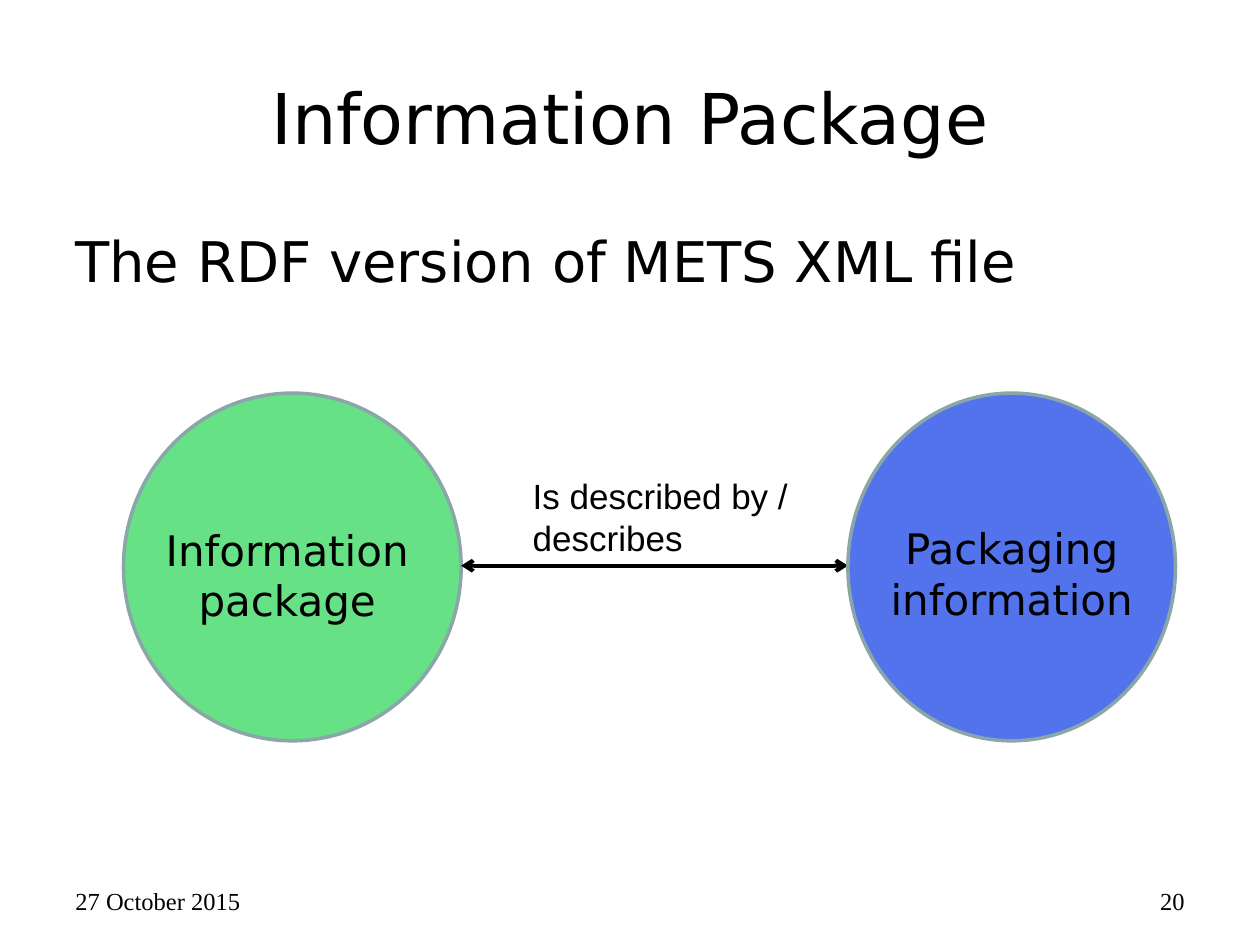
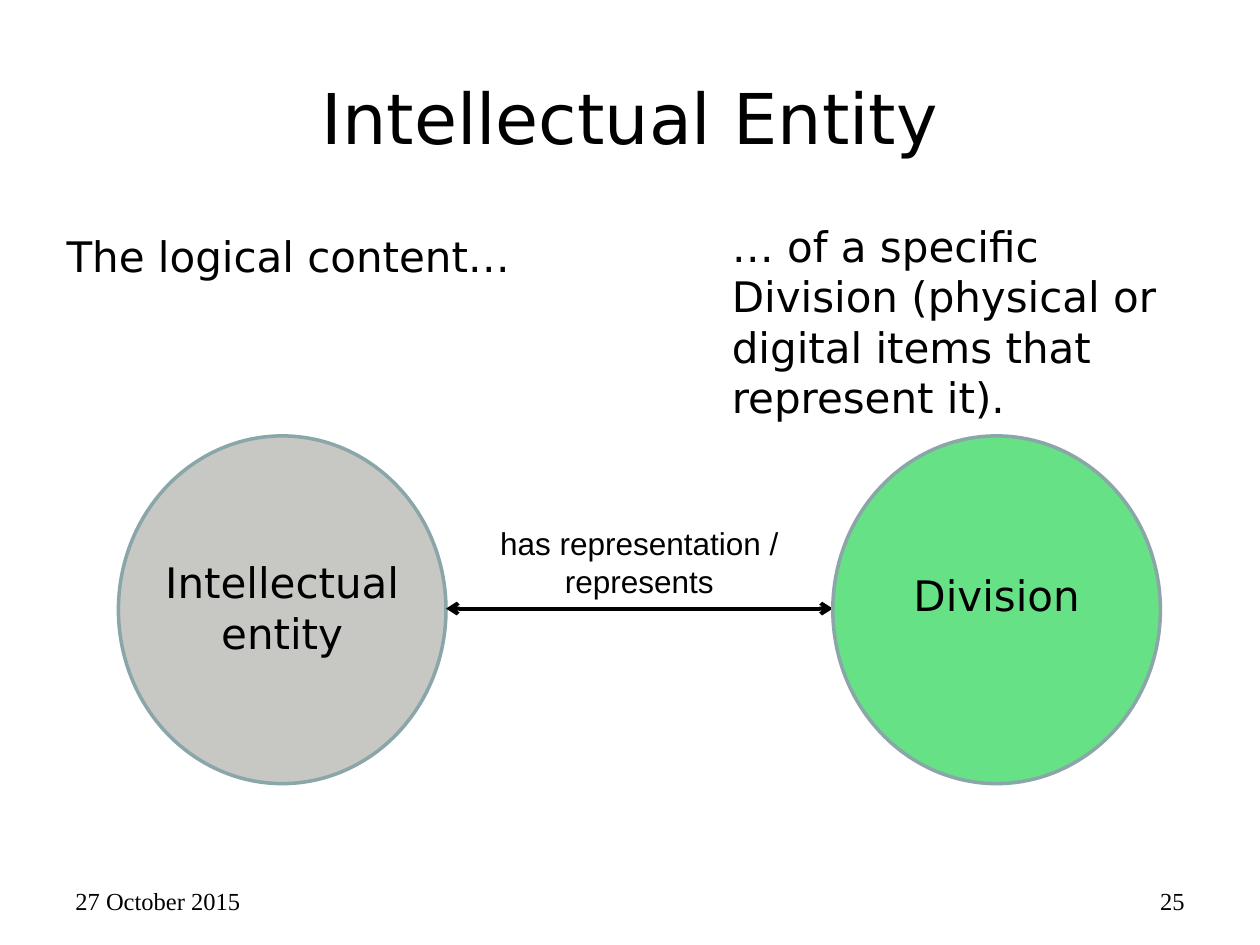
"""Build two slides that relate entities of a digital preservation model."""
from dataclasses import dataclass

from lxml.etree import SubElement
from pptx import Presentation
from pptx.dml.color import RGBColor
from pptx.enum.shapes import MSO_CONNECTOR, MSO_SHAPE
from pptx.enum.text import MSO_ANCHOR, PP_ALIGN
from pptx.oxml.ns import qn
from pptx.util import Inches, Pt


@dataclass(frozen=True)
class Theme:
    """Hold the colours, fonts and sizes that the slides share."""
    ink: str = "000000"
    paper: str = "FFFFFF"
    green: str = "66E186"
    blue: str = "5273EB"
    grey: str = "C7C7C4"
    outline: str = "8AA6A8"
    main_font: str = "DejaVu Sans"
    relation_font: str = "Arial"
    footer_font: str = "Times New Roman"
    title_size: int = 40
    lead_size: int = 32
    text_size: int = 24
    footer_size: int = 14
    outline_width: float = 2
    arrow_width: float = 2.25


THEME = Theme()
DATE = "27 October 2015"
CIRCLE_HEIGHT = 2.76
CIRCLE_WIDTH = 2.6
ARROW_DROP = 1.37
LABEL_INSET = 0.08
LABEL_WIDTH = 2.44


def add_text(slide, text, left, top, width, height, *, size=THEME.text_size,
             font=THEME.main_font, align=PP_ALIGN.LEFT, anchor=MSO_ANCHOR.TOP):
    """Add a wrapped text box in one format."""
    box = slide.shapes.add_textbox(Inches(left), Inches(top), Inches(width), Inches(height))
    frame = box.text_frame
    frame.word_wrap = True
    frame.vertical_anchor = anchor
    paragraph = frame.paragraphs[0]
    paragraph.text = text
    paragraph.alignment = align
    paragraph.font.size = Pt(size)
    paragraph.font.name = font
    paragraph.font.color.rgb = RGBColor.from_string(THEME.ink)


def add_entity_circle(slide, left, top, width, colour):
    """Add the circle that stands for an entity."""
    circle = slide.shapes.add_shape(MSO_SHAPE.OVAL, Inches(left), Inches(top),
                                    Inches(width), Inches(CIRCLE_HEIGHT))
    circle.shadow.inherit = False
    circle.fill.solid()
    circle.fill.fore_color.rgb = RGBColor.from_string(colour)
    circle.line.color.rgb = RGBColor.from_string(THEME.outline)
    circle.line.width = Pt(THEME.outline_width)


def add_entity(slide, name, left, top, colour, label_top, width=CIRCLE_WIDTH, label_height=0.91):
    """Add an entity circle with its name."""
    add_entity_circle(slide, left, top, width, colour)
    add_text(slide, name, left + LABEL_INSET, label_top, LABEL_WIDTH, label_height,
             align=PP_ALIGN.CENTER)


def add_relation_arrow(slide, start, end, y):
    """Add a level arrow with a head at both ends."""
    arrow = slide.shapes.add_connector(MSO_CONNECTOR.STRAIGHT, Inches(start), Inches(y),
                                       Inches(end), Inches(y))
    arrow.line.color.rgb = RGBColor.from_string(THEME.ink)
    arrow.line.width = Pt(THEME.arrow_width)
    outline = arrow.line._get_or_add_ln()
    for tip in ("a:headEnd", "a:tailEnd"):
        SubElement(outline, qn(tip), type="arrow")
    SubElement(arrow._element.spPr, qn("a:effectLst"))


def add_base_slide(deck, title, number):
    """Add a blank slide with title, date and page number."""
    slide = deck.slides.add_slide(deck.slide_layouts[6])
    slide.background.fill.solid()
    slide.background.fill.fore_color.rgb = RGBColor.from_string(THEME.paper)
    add_text(slide, title, 0.5, 0.3, 9, 1.25, size=THEME.title_size,
             align=PP_ALIGN.CENTER, anchor=MSO_ANCHOR.MIDDLE)
    footer = {"size": THEME.footer_size, "font": THEME.footer_font}
    add_text(slide, DATE, 0.5, 6.98, 1.66, 0.37, **footer)
    add_text(slide, str(number), 8.54, 6.98, 0.96, 0.37, align=PP_ALIGN.RIGHT, **footer)
    return slide


def build_information_package(deck):
    """Build the slide on the information package."""
    slide = add_base_slide(deck, "Information Package", 20)
    add_text(slide, "The RDF version of METS XML file", 0.5, 1.75, 9, 5.15,
             size=THEME.lead_size)
    top, package_left, package_width, packaging_left = 3.12, 0.98, 2.68, 6.73
    add_entity(slide, "Information package", package_left, top, THEME.green, 4.11,
               width=package_width)
    add_relation_arrow(slide, package_left + package_width, packaging_left, top + ARROW_DROP)
    add_entity(slide, "Packaging information", packaging_left, top, THEME.blue, 4.1)
    add_text(slide, "Is described by / describes", 4.13, 3.72, 2.44, 0.77,
             size=20, font=THEME.relation_font)


def build_intellectual_entity(deck):
    """Build the slide on the intellectual entity."""
    slide = add_base_slide(deck, "Intellectual Entity", 25)
    add_text(slide, "The logical content…", 0.43, 1.78, 3.95, 0.8)
    top, entity_left, division_left = 3.46, 0.94, 6.61
    add_entity(slide, "Intellectual entity", entity_left, top, THEME.grey, 4.37)
    add_relation_arrow(slide, entity_left + CIRCLE_WIDTH, division_left, top + ARROW_DROP)
    add_entity(slide, "Division", division_left, top, THEME.green, 4.47, label_height=0.5)
    add_text(slide, "has representation / represents", 3.66, 4.11, 2.83, 0.71,
             size=18, font=THEME.relation_font, align=PP_ALIGN.CENTER)
    add_text(slide, "… of a specific Division (physical or digital items that represent it).",
             5.71, 1.7, 3.95, 1.53)


def main():
    """Build and save the deck."""
    deck = Presentation()
    deck.slide_width, deck.slide_height = Inches(10), Inches(7.5)
    build_information_package(deck)
    build_intellectual_entity(deck)
    deck.save("out.pptx")


if __name__ == "__main__":
    main()
